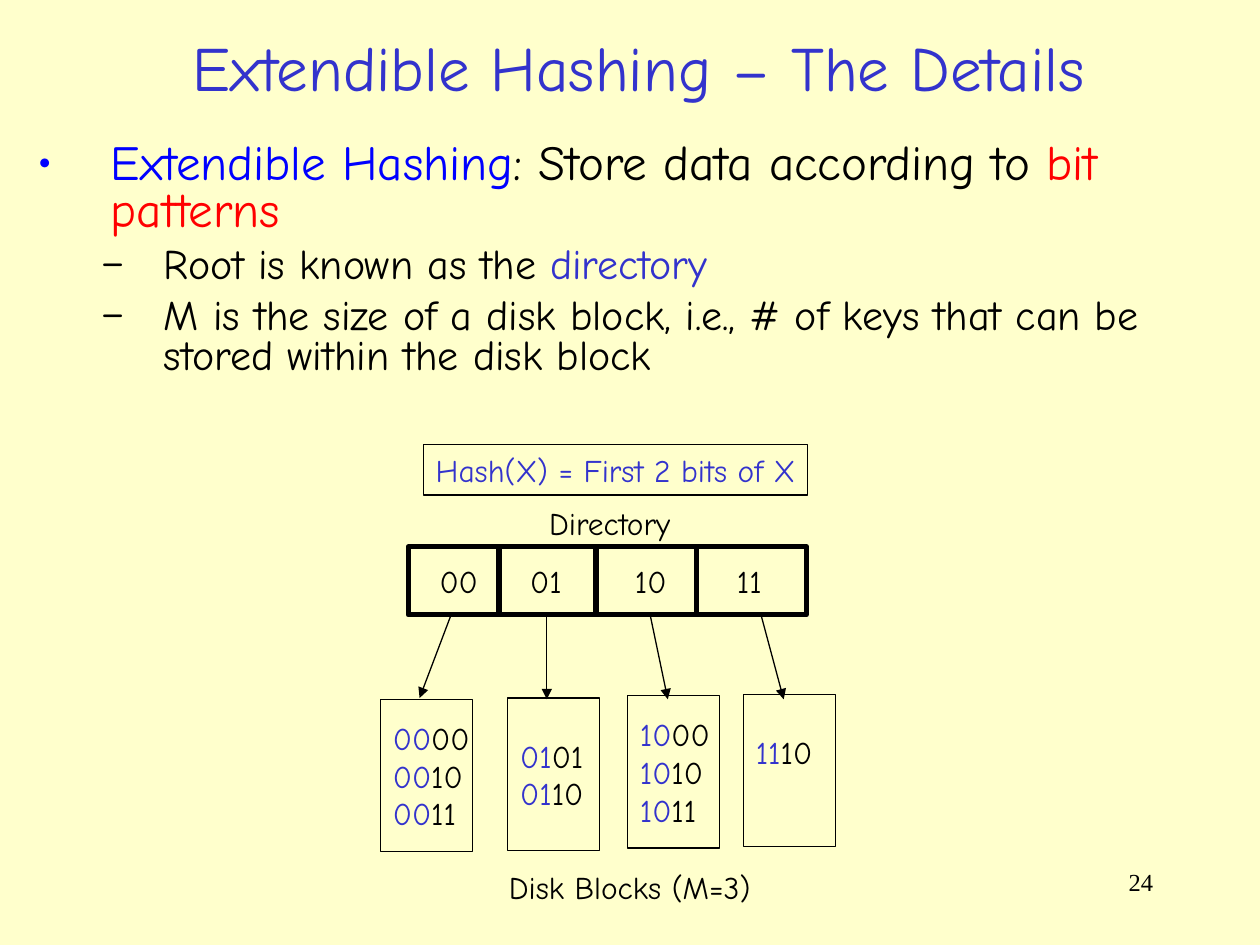
from lxml import etree
from pptx import Presentation
from pptx.dml.color import RGBColor
from pptx.enum.shapes import MSO_CONNECTOR, MSO_SHAPE
from pptx.enum.text import MSO_ANCHOR, MSO_AUTO_SIZE, PP_ALIGN
from pptx.oxml.ns import qn
from pptx.util import Inches, Pt

RECT = MSO_SHAPE.RECTANGLE
LINE = MSO_CONNECTOR.STRAIGHT
TOP, MIDDLE = MSO_ANCHOR.TOP, MSO_ANCHOR.MIDDLE
LEFT, CENTER, RIGHT = PP_ALIGN.LEFT, PP_ALIGN.CENTER, PP_ALIGN.RIGHT
NO_FIT = MSO_AUTO_SIZE.NONE

COLORS = {"paper": "FFFFCC", "ink": "000000", "indigo": "3333CC",
          "blue": "0000FF", "red": "FF0000"}
FONT = "Comic Neue"
BLOCK_W, BLOCK_H = 0.73, 1.21


def color(name):
    return RGBColor.from_string(COLORS[name])


def put_text(frame, lines, size=18, font=FONT, align=LEFT, anchor=TOP,
             wrap=False, low=0.05):
    """Fill a frame; each line is a list of (text, colour) runs, low the bottom inset."""
    frame.word_wrap = wrap
    frame.auto_size = NO_FIT
    frame.vertical_anchor = anchor
    frame.margin_bottom = Inches(low)
    for i, runs in enumerate(lines):
        para = frame.paragraphs[0] if i == 0 else frame.add_paragraph()
        para.alignment = align
        for text, tint in runs:
            run = para.add_run()
            run.text = text
            run.font.size = Pt(size)
            run.font.name = font
            run.font.color.rgb = color(tint)


def add_label(slide, text, x, y, w, h=0.4, tint="ink", **style):
    box = slide.shapes.add_textbox(Inches(x), Inches(y), Inches(w), Inches(h))
    put_text(box.text_frame, [[(text, tint)]], **style)


def add_box(slide, x, y, w, h, lines=(), weight=0.75, **style):
    box = slide.shapes.add_shape(RECT, Inches(x), Inches(y), Inches(w), Inches(h))
    box.shadow.inherit = False
    box.fill.background()
    box.line.color.rgb = color("ink")
    box.line.width = Pt(weight)
    put_text(box.text_frame, lines, **style)


def add_line(slide, x1, y1, x2, y2, weight=0.75, arrow=False):
    line = slide.shapes.add_connector(
        LINE, Inches(x1), Inches(y1), Inches(x2), Inches(y2))
    line.line.color.rgb = color("ink")
    line.line.width = Pt(weight)
    if arrow:
        etree.SubElement(line.line._get_or_add_ln(), qn("a:tailEnd"), type="triangle")
    etree.SubElement(line._element.spPr, qn("a:effectLst"))


def set_bullet(para, char, tint, margin, hang):
    props = para._p.get_or_add_pPr()
    props.set("marL", str(Inches(margin)))
    props.set("indent", str(-Inches(hang)))
    shade = etree.SubElement(props, qn("a:buClr"))
    etree.SubElement(shade, qn("a:srgbClr"), val=COLORS[tint])
    etree.SubElement(props, qn("a:buFont"), typeface=FONT)
    etree.SubElement(props, qn("a:buChar"), char=char)


def place(shape, x, y, w, h):
    shape.left, shape.top = Inches(x), Inches(y)
    shape.width, shape.height = Inches(w), Inches(h)


def add_title(slide):
    title = slide.shapes.title
    place(title, 0.3, 0.15, 9.54, 0.76)
    put_text(title.text_frame, [[("Extendible Hashing – The Details", "indigo")]],
             size=36, align=CENTER, anchor=MIDDLE, wrap=True)


def add_list(slide):
    body = slide.placeholders[1]
    place(body, 0.2, 1.08, 9.42, 2.18)
    put_text(body.text_frame, [
        [("Extendible Hashing", "blue"), (": Store data according to ", "ink"),
         ("bit patterns", "red")],
        [("Root is known as the ", "ink"), ("directory", "indigo")],
        [("M is the size of a disk block, i.e., # of keys that can be "
          "stored within the disk block", "ink")],
    ], size=24, wrap=True)
    head, *points = body.text_frame.paragraphs
    for para in (head, *points):
        para.line_spacing = 0.8
        para.space_before = Pt(6)
    head.space_before = Pt(7)
    for run in head.runs:
        run.font.size = Pt(28)
    set_bullet(head, "•", "blue", 0.58, 0.58)
    for para in points:
        para.level = 1
        set_bullet(para, "–", "ink", 1, 0.5)


def add_directory(slide):
    add_label(slide, "Directory", 4.26, 3.95, 1.17)
    add_box(slide, 3.24, 4.34, 3.16, 0.54, weight=3)
    for x, top, end in ((3.96, 4.34, 4.9), (4.73, 4.34, 4.9), (5.53, 4.36, 4.88)):
        add_line(slide, x, top, x, end, weight=3)


def add_bucket(slide, key, tails, key_x, x, y, start, end):
    """Draw one directory key, its disk block and the arrow between them."""
    add_label(slide, key, key_x, 4.41, 0.5)
    lines = [[(key, "indigo"), (tail, "ink")] for tail in tails]
    low = 0.35 if len(tails) == 1 else 0.05
    add_box(slide, x, y, BLOCK_W, BLOCK_H, lines, anchor=MIDDLE, low=low)
    add_line(slide, start, 4.88, *end, arrow=True)


def main():
    deck = Presentation()
    deck.slide_width, deck.slide_height = Inches(10), Inches(7.5)
    slide = deck.slides.add_slide(deck.slide_layouts[1])
    slide.background.fill.solid()
    slide.background.fill.fore_color.rgb = color("paper")

    add_title(slide)
    add_list(slide)
    add_box(slide, 3.36, 3.53, 3.05, 0.4, [[("Hash(X) = First 2 bits of X", "indigo")]])
    add_directory(slide)
    buckets = (
        ("00", ("00", "10", "11"), 3.39, 3.02, 5.55, 3.58, (3.33, 5.54)),
        ("01", ("01", "10"), 4.11, 4.03, 5.54, 4.34, (4.34, 5.55)),
        ("10", ("00", "10", "11"), 4.94, 4.98, 5.52, 5.16, (5.3, 5.55)),
        ("11", ("10",), 5.75, 5.9, 5.51, 6.04, (6.22, 5.55)),
    )
    for bucket in buckets:
        add_bucket(slide, *bucket)
    add_label(slide, "Disk Blocks (M=3)", 3.94, 6.84, 2.12)
    add_label(slide, "24", 7.17, 6.83, 2.08, 0.5, size=14,
              font="Times New Roman", align=RIGHT, wrap=True)
    deck.save("out.pptx")


if __name__ == "__main__":
    main()
